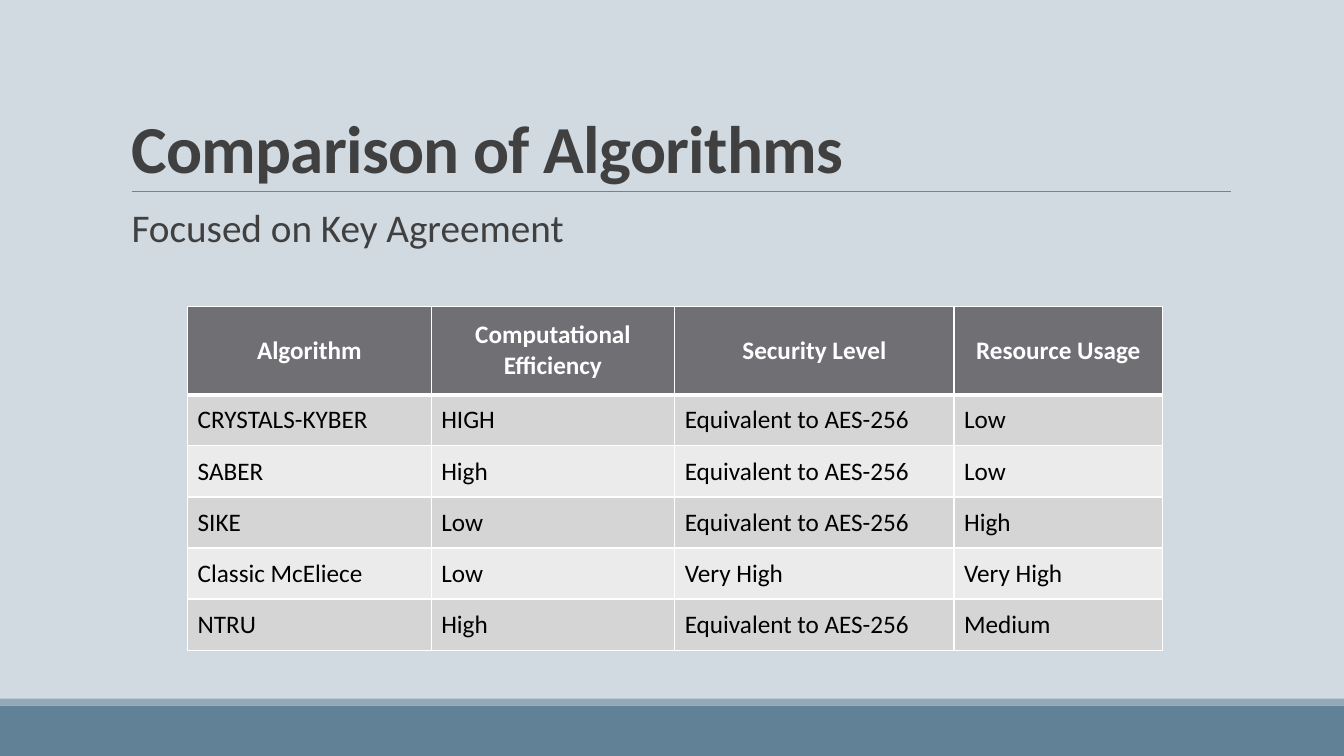
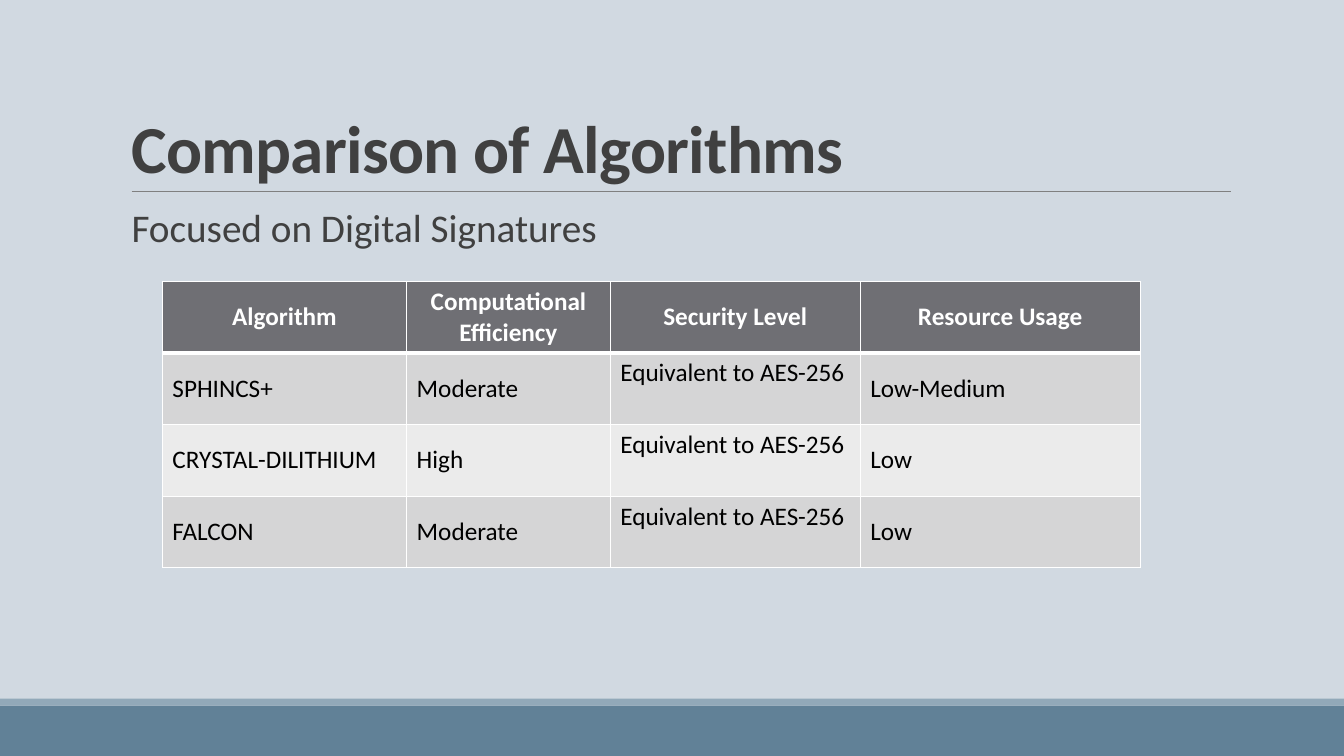
from lxml import etree
from pptx import Presentation
from pptx.dml.color import RGBColor
from pptx.enum import shapes, text
from pptx.oxml import ns
from pptx.util import Pt

BACKGROUND = RGBColor(0xD1, 0xD9, 0xE1)
BAND = RGBColor(0x61, 0x81, 0x97)
BAND_EDGE = RGBColor(0x92, 0xA9, 0xB9)
RULE = RGBColor(0x80, 0x80, 0x80)
INK = RGBColor(0x40, 0x40, 0x40)
HEADER = RGBColor(0x6F, 0x6F, 0x74)
ROW_DARK = RGBColor(0xD5, 0xD5, 0xD6)
ROW_LIGHT = RGBColor(0xEB, 0xEB, 0xEB)
WHITE = RGBColor(0xFF, 0xFF, 0xFF)
BLACK = RGBColor(0, 0, 0)

FONT = "Calibri"
WIDTH, HEIGHT = 960, 540
TEXT_LEFT = 94
TITLE_ONLY = 5

TITLE = "Comparison of Algorithms"
HEADINGS = ["Algorithm", "Computational Efficiency", "Security Level", "Resource Usage"]
AES = "Equivalent to AES-256"
KEY_AGREEMENT = [
    ["CRYSTALS-KYBER", "HIGH", AES, "Low"],
    ["SABER", "High", AES, "Low"],
    ["SIKE", "Low", AES, "High"],
    ["Classic McEliece", "Low", "Very High", "Very High"],
    ["NTRU", "High", AES, "Medium"],
]
SIGNATURES = [
    ["SPHINCS+", "Moderate", AES, "Low-Medium"],
    ["CRYSTAL-DILITHIUM", "High", AES, "Low"],
    ["FALCON", "Moderate", AES, "Low"],
]


def add_span(para, wording, size, color, bold=False):
    span = para.add_run()
    span.text = wording
    span.font.name = FONT
    span.font.size = Pt(size)
    span.font.bold = bold
    span.font.color.rgb = color
    return span


def add_band(page, top, height, color):
    band = page.shapes.add_shape(
        shapes.MSO_SHAPE.RECTANGLE, 0, Pt(top), Pt(WIDTH), Pt(height))
    band.shadow.inherit = False
    band.fill.solid()
    band.fill.fore_color.rgb = color
    band.line.fill.background()


def add_rule(page, left, right, top):
    rule = page.shapes.add_connector(
        shapes.MSO_CONNECTOR.STRAIGHT, Pt(left), Pt(top), Pt(right), Pt(top))
    rule.line.color.rgb = RULE
    rule.line.width = Pt(0.5)
    etree.SubElement(rule._element.spPr, ns.qn("a:effectLst"))


def set_title(page, wording):
    title = page.shapes.title
    title.left, title.top, title.width, title.height = Pt(86.5), Pt(22.5), Pt(792), Pt(114.5)
    frame = title.text_frame
    frame.word_wrap = True
    frame.auto_size = text.MSO_AUTO_SIZE.NONE
    frame.vertical_anchor = text.MSO_ANCHOR.BOTTOM
    para = frame.paragraphs[0]
    para.alignment = text.PP_ALIGN.LEFT
    para.line_spacing = 0.85
    span = add_span(para, wording, 48, INK, bold=True)
    span.font._element.set("spc", "-50")


def add_subtitle(page, wording):
    box = page.shapes.add_textbox(Pt(TEXT_LEFT), Pt(145.5), Pt(770), Pt(42))
    frame = box.text_frame
    frame.word_wrap = True
    frame.margin_left = frame.margin_right = 0
    para = frame.paragraphs[0]
    para.line_spacing = 0.9
    add_span(para, wording, 28, INK)


def add_page(deck, subtitle):
    """Add a slide with the shared bands, rule and title."""
    page = deck.slides.add_slide(deck.slide_layouts[TITLE_ONLY])
    add_band(page, 504, 36, BAND)
    add_band(page, 499, 5, BAND_EDGE)
    add_rule(page, TEXT_LEFT, 879, 136.5)
    set_title(page, TITLE)
    add_subtitle(page, subtitle)
    return page


def set_borders(cell, top, bottom):
    """Draw white borders, 1 pt at the sides and as given above and below."""
    properties = cell._tc.get_or_add_tcPr()
    for side, weight in (("L", 1), ("R", 1), ("T", top), ("B", bottom)):
        line = etree.SubElement(properties, ns.qn(f"a:ln{side}"), w=str(Pt(weight)))
        fill = etree.SubElement(line, ns.qn("a:solidFill"))
        etree.SubElement(fill, ns.qn("a:srgbClr"), val=str(WHITE))


def fill_cell(cell, wording, row):
    is_header = row == 0
    set_borders(cell, top=3 if row == 1 else 1, bottom=3 if is_header else 1)
    cell.fill.solid()
    cell.fill.fore_color.rgb = HEADER if is_header else (ROW_DARK if row % 2 else ROW_LIGHT)
    cell.vertical_anchor = text.MSO_ANCHOR.MIDDLE
    para = cell.text_frame.paragraphs[0]
    para.alignment = text.PP_ALIGN.CENTER if is_header else text.PP_ALIGN.LEFT
    add_span(para, wording, 18, WHITE if is_header else BLACK, bold=is_header)


def add_comparison(page, left, top, widths, header_height, row_height, records):
    rows = [HEADINGS] + records
    heights = [header_height] + [row_height] * len(records)
    table = page.shapes.add_table(
        len(rows), len(widths), Pt(left), Pt(top), Pt(sum(widths)), Pt(sum(heights))).table
    table.horz_banding = False
    for column, width in zip(table.columns, widths):
        column.width = Pt(width)
    for index, (wordings, height) in enumerate(zip(rows, heights)):
        table.rows[index].height = Pt(height)
        for column, wording in enumerate(wordings):
            fill_cell(table.cell(index, column), wording, index)
    return table


def main():
    deck = Presentation()
    deck.slide_width, deck.slide_height = Pt(WIDTH), Pt(HEIGHT)
    backdrop = deck.slide_master.background.fill
    backdrop.solid()
    backdrop.fore_color.rgb = BACKGROUND

    page = add_page(deck, "Focused on Key Agreement")
    add_comparison(page, 134, 219, [174, 174, 199.5, 149], 63, 36.5, KEY_AGREEMENT)

    page = add_page(deck, "Focused on Digital Signatures")
    table = add_comparison(page, 116, 201, [174.5, 145.5, 178.5, 200], 51, 51.2, SIGNATURES)
    for row in range(1, len(SIGNATURES) + 1):
        table.cell(row, 2).vertical_anchor = text.MSO_ANCHOR.TOP

    deck.save("out.pptx")


if __name__ == "__main__":
    main()
